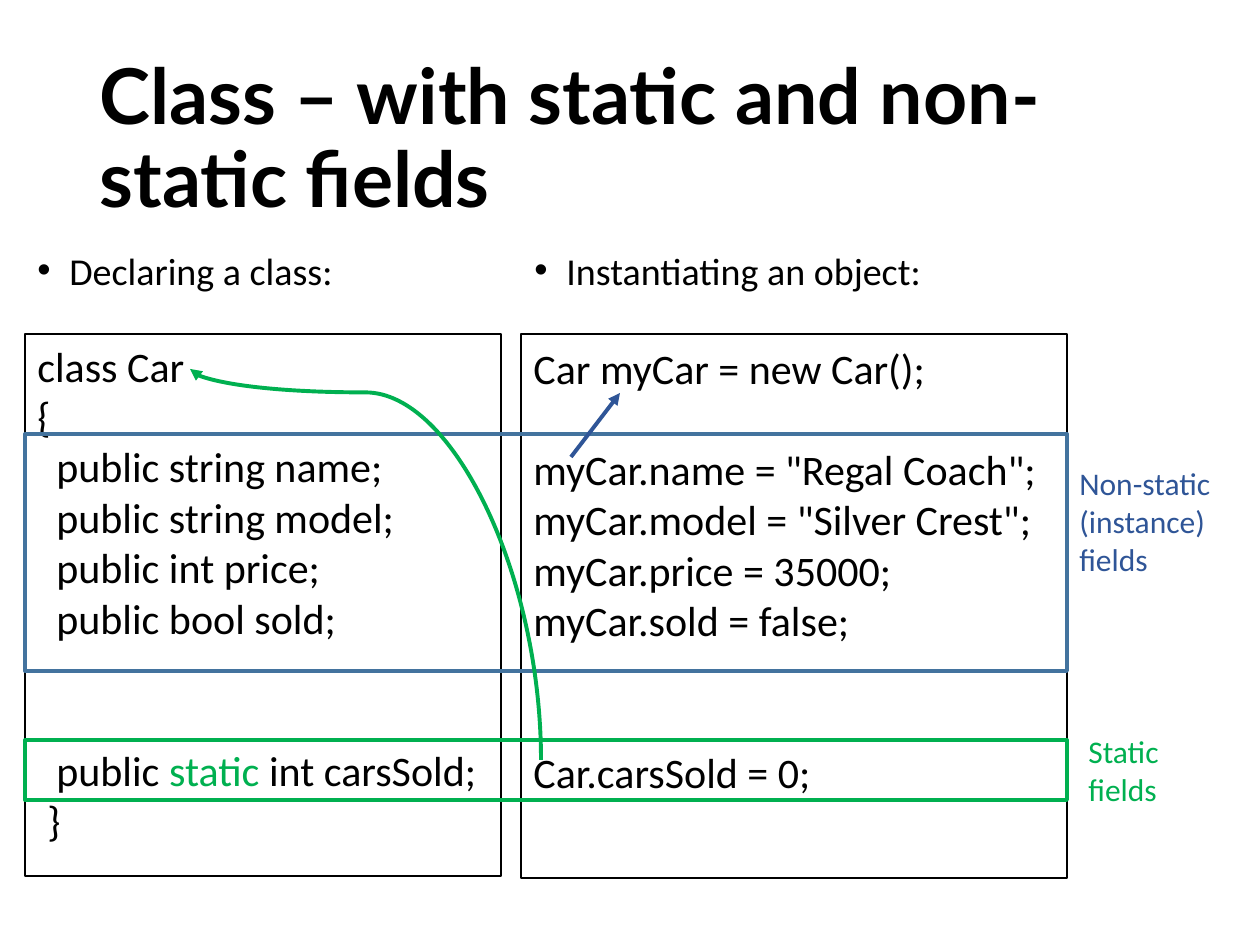
import pptx
import pptx.dml.color
import pptx.enum.shapes
import pptx.enum.text
import pptx.util
from lxml import etree
from pptx.oxml.ns import qn

EMU_PER_PX = 914400 / 126
BLACK, BLUE, STEEL, GREEN = "000000", "2F5597", "43739E", "00B050"
LINE_PT = 29  # height of one line of code


def px(length):
    return pptx.util.Emu(round(length * EMU_PER_PX))


def rgb(hex_colour):
    return pptx.dml.color.RGBColor.from_string(hex_colour)


def write(frame, lines, size=24, font="Calibri", colour=BLACK, bold=False, wrap=True,
          anchor=pptx.enum.text.MSO_ANCHOR.TOP, spacing=None, bullet=None):
    """Each line is (runs, indent in px, blank lines above); a run is (text, colour or None)."""
    frame.word_wrap = wrap
    frame.auto_size = pptx.enum.text.MSO_AUTO_SIZE.NONE
    frame.vertical_anchor = anchor
    for index, (runs, indent, gap) in enumerate(lines):
        paragraph = frame.paragraphs[0] if index == 0 else frame.add_paragraph()
        paragraph.alignment = pptx.enum.text.PP_ALIGN.LEFT
        paragraph.line_spacing = spacing
        paragraph.space_before = pptx.util.Pt(gap * LINE_PT)
        properties = paragraph._p.get_or_add_pPr()
        if indent:
            properties.set("marL", str(px(indent)))
        if bullet:
            paragraph.space_before = pptx.util.Pt(10)
            properties.set("indent", str(-px(indent)))
            etree.SubElement(properties, qn("a:buFont"), typeface="Arial")
            etree.SubElement(properties, qn("a:buChar"), char=bullet)
        for text, run_colour in runs:
            run = paragraph.add_run()
            run.text = text
            run.font.size = pptx.util.Pt(size)
            run.font.name = font
            run.font.bold = bold
            run.font.color.rgb = rgb(run_colour or colour)


def line(text, indent=0, gap=0):
    return [(text, None)], indent, gap


def add_text(slide, box, lines, **style):
    write(slide.shapes.add_textbox(*map(px, box)).text_frame, lines, **style)


def add_frame(slide, box, colour, weight):
    frame = slide.shapes.add_shape(pptx.enum.shapes.MSO_SHAPE.RECTANGLE, *map(px, box))
    frame.shadow.inherit = False
    frame.fill.background()
    frame.line.color.rgb = rgb(colour)
    frame.line.width = pptx.util.Pt(weight)


def add_arrow(slide, kind, start, end, colour):
    arrow = slide.shapes.add_connector(kind, *map(px, (*start, *end)))
    arrow.line.color.rgb = rgb(colour)
    arrow.line.width = pptx.util.Pt(2.25)
    etree.SubElement(arrow.line._get_or_add_ln(), qn("a:tailEnd"), type="triangle")
    etree.SubElement(arrow._element.spPr, qn("a:effectLst"))
    return arrow


def add_rising_curve(slide, start, end, colour, bend):
    """Curve that leaves start upwards and reaches end from below, by a quarter turn."""
    centre_x, centre_y = (start[0] + end[0]) / 2, (start[1] + end[1]) / 2
    half_width, half_height = (start[1] - end[1]) / 2, (start[0] - end[0]) / 2
    curve = add_arrow(slide, pptx.enum.shapes.MSO_CONNECTOR.CURVE,
                      (centre_x - half_width, centre_y + half_height),
                      (centre_x + half_width, centre_y - half_height), colour)
    properties = curve._element.spPr
    properties.find(qn("a:xfrm")).set("rot", str(270 * 60000))
    geometry = properties.find(qn("a:prstGeom"))
    adjustments = geometry.find(qn("a:avLst"))
    if adjustments is None:
        adjustments = etree.SubElement(geometry, qn("a:avLst"))
    etree.SubElement(adjustments, qn("a:gd"), name="adj1", fmla=f"val {round(bend * 100000)}")


def add_title(slide, box, text):
    title = slide.shapes.title
    title.left, title.top, title.width, title.height = map(px, box)
    write(title.text_frame, [line(text)], size=44, font="Lato", bold=True, spacing=0.9,
          anchor=pptx.enum.text.MSO_ANCHOR.MIDDLE)


def add_code_column(slide, box, heading, heading_left, code, code_top=0, wrap=True):
    left, top, width, height = box
    add_text(slide, (heading_left, top - 80, width, 50), [line(heading, 32)],
             size=21.7, spacing=0.7, bullet="•")
    add_frame(slide, box, BLACK, 1)
    add_text(slide, (left, top + code_top, width - 8, height), code, wrap=wrap)


def add_field_band(slide, box, frame_colour, label_colour, label, label_offset, wrap):
    left, top, width, height = box
    add_frame(slide, box, frame_colour, 2.25)
    offset_x, offset_y = label_offset
    add_text(slide, (left + width + offset_x, top + offset_y, 203, 90),
             [line(part) for part in label], size=18, colour=label_colour, wrap=wrap)


def main():
    deck = pptx.Presentation()
    deck.slide_width, deck.slide_height = px(1260), px(945)
    slide = deck.slides.add_slide(deck.slide_layouts[5])
    add_title(slide, (87, 50, 1086, 183), "Class – with static and non-static fields")

    declaration = [line("class Car"), line("{")]
    declaration += [line(f"public {field};", 19) for field in
                    ("string name", "string model", "int price", "bool sold")]
    declaration += [([("public ", None), ("static ", GREEN), ("int carsSold;", None)], 19, 2),
                    line("}", 10)]
    add_code_column(slide, (25, 334, 476, 542), "Declaring a class:", 25, declaration)

    usage = [line("Car myCar = new Car();"),
             line('myCar.name = "Regal Coach";', gap=1),
             line('myCar.model = "Silver Crest";'),
             line("myCar.price = 35000;"),
             line("myCar.sold = false;"),
             line("Car.carsSold = 0;", gap=2)]
    add_code_column(slide, (521, 334, 546, 544), "Instantiating an object:", 522, usage,
                    code_top=2, wrap=False)

    add_field_band(slide, (25, 434, 1042, 237), STEEL, BLUE,
                   ["Non-static (instance) fields"], (0, 24), True)
    add_field_band(slide, (25, 740, 1042, 60), GREEN, GREEN,
                   ["Static", "fields"], (9, -14), False)

    add_arrow(slide, pptx.enum.shapes.MSO_CONNECTOR.STRAIGHT, (571, 457), (620, 393), BLUE)
    add_rising_curve(slide, (541, 760), (190, 369), GREEN, 0.94)
    deck.save("out.pptx")


if __name__ == "__main__":
    main()
